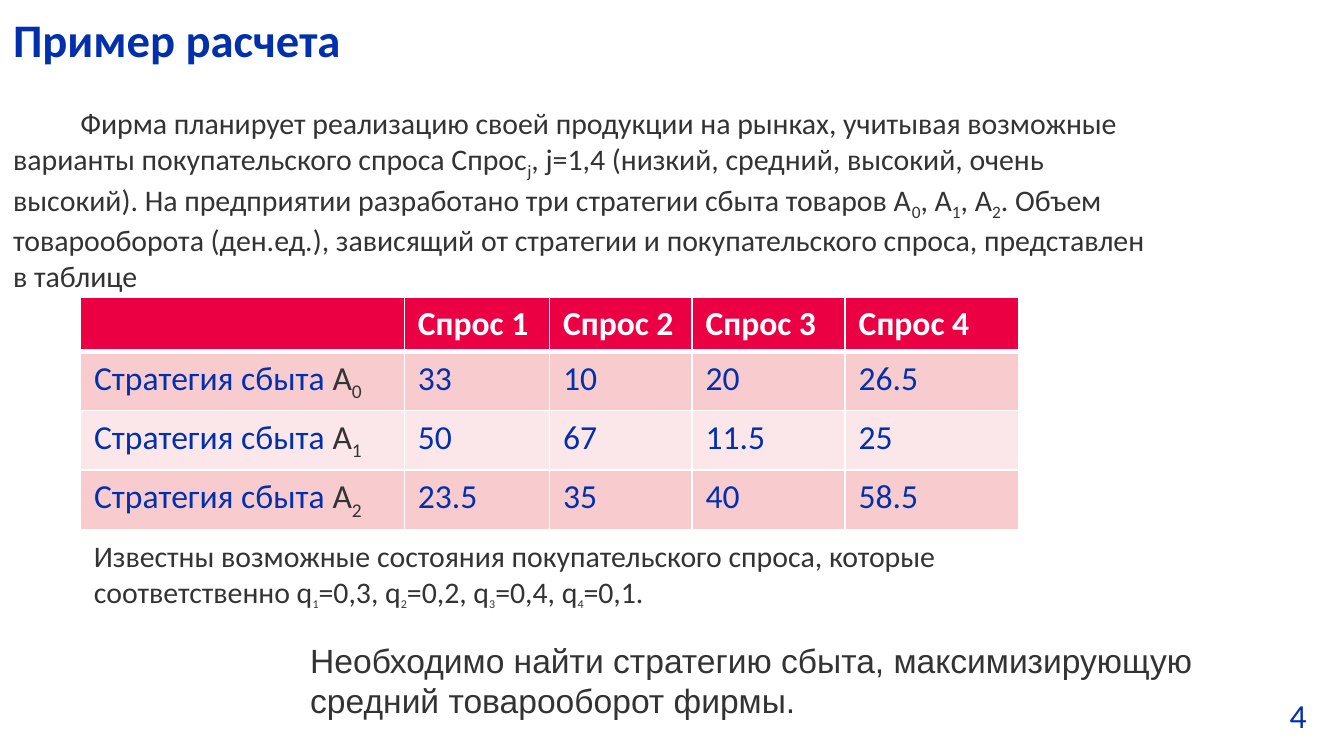
from lxml import etree
from pptx import Presentation
from pptx.dml.color import RGBColor
from pptx.enum.text import MSO_ANCHOR, PP_ALIGN
from pptx.oxml.ns import qn
from pptx.util import Inches, Pt

LEFT, RIGHT = PP_ALIGN.LEFT, PP_ALIGN.RIGHT
TOP, BOTTOM = MSO_ANCHOR.TOP, MSO_ANCHOR.BOTTOM
BLUE = RGBColor(0x02, 0x30, 0xAC)
GREY = RGBColor(0x33, 0x33, 0x33)
WHITE = RGBColor(0xFF, 0xFF, 0xFF)
RED = RGBColor(0xEC, 0x00, 0x44)
PINK = RGBColor(0xF8, 0xCC, 0xCF)
PALE = RGBColor(0xFB, 0xE7, 0xE9)


class SlideBuilder:
    font = "Calibri"

    def __init__(self, prs):
        self.s = prs.slides.add_slide(prs.slide_layouts[6])

    def run(self, p, text, size, color, bold=False, font=None, sub=False):
        r = p.add_run()
        r.text = text
        style = {"name": font or self.font, "size": Pt(size), "bold": bold}
        for key, value in style.items():
            setattr(r.font, key, value)
        r.font.color.rgb = color
        if sub:
            r.font._element.set("baseline", "-25000")

    def rich(self, p, text, size, color, sub_size=None, **style):
        for i, part in enumerate(text.split("_")):
            sub = i % 2 == 1
            if part:
                self.run(p, part, sub_size if sub and sub_size else size,
                         color, sub=sub, **style)

    def text(self, box, text, size, color, align=LEFT, anchor=TOP, indent=0, **style):
        tf = self.s.shapes.add_textbox(*map(Inches, box)).text_frame
        for key, value in {"word_wrap": True, "vertical_anchor": anchor}.items():
            setattr(tf, key, value)
        p = tf.paragraphs[0]
        p.alignment = align
        if indent:
            p._p.get_or_add_pPr().set("indent", str(Inches(indent)))
        self.rich(p, text, size, color, **style)

    def borders(self, cell, bottom):
        tc_pr = cell._tc.get_or_add_tcPr()
        widths = {"lnL": 1, "lnR": 1, "lnT": 1, "lnB": bottom}
        for i, (tag, width) in enumerate(widths.items()):
            ln = etree.Element(qn("a:" + tag), w=str(Pt(width)))
            fill = etree.SubElement(ln, qn("a:solidFill"))
            etree.SubElement(fill, qn("a:srgbClr"), val=str(WHITE))
            tc_pr.insert(i, ln)

    def table(self, box, widths, rows, size):
        frame = self.s.shapes.add_table(len(rows), len(widths), *map(Inches, box))
        table = frame.table
        for column, width in zip(table.columns, widths):
            column.width = Inches(width)
        for i, row in enumerate(rows):
            header = i == 0
            for j, value in enumerate(row):
                cell = table.cell(i, j)
                cell.fill.solid()
                cell.fill.fore_color.rgb = RED if header else (PALE, PINK)[i % 2]
                self.borders(cell, 3 if header else 1)
                p = cell.text_frame.paragraphs[0]
                if header or j:
                    self.rich(p, value, size, WHITE if header else BLUE, bold=header)
                else:
                    self.run(p, "Стратегия сбыта ", size, BLUE)
                    self.rich(p, value, size, GREY)


prs = Presentation()
prs.slide_width, prs.slide_height = Inches(10), Inches(10 * 9 / 16)
slide = SlideBuilder(prs)

slide.text((9.17, 5.12, 0.65, 0.4), "4", 18, BLUE, align=RIGHT)
slide.text((0, 0.07, 9.56, 0.48), "Пример расчета", 25, BLUE, anchor=BOTTOM, bold=True)
slide.table(
    (0.6, 2.21, 6.98, 1.62),
    (2.41, 1.08, 1.06, 1.14, 1.29),
    [
        ["", "Спрос 1", "Спрос 2", "Спрос 3", "Спрос 4"],
        ["A_0_", "33", "10", "20", "26.5"],
        ["A_1_", "50", "67", "11.5", "25"],
        ["A_2_", "23.5", "35", "40", "58.5"],
    ],
    18,
)
slide.text(
    (0, 0.73, 8.67, 1.45),
    "Фирма планирует реализацию своей продукции на рынках, учитывая возможные "
    "варианты покупательского спроса Спрос_j_, j=1,4 (низкий, средний, высокий, "
    "очень высокий). На предприятии разработано три стратегии сбыта товаров "
    "A_0_, А_1_, А_2_. Объем товарооборота (ден.ед.), зависящий от стратегии и "
    "покупательского спроса, представлен в таблице",
    16, GREY, indent=0.5,
)
slide.text(
    (0.6, 3.95, 6.98, 0.64),
    "Известны возможные состояния покупательского спроса, которые "
    "соответственно q_1_=0,3, q_2_=0,2, q_3_=0,4, q_4_=0,1.",
    16, GREY, sub_size=11,
)
slide.text(
    (2.21, 4.71, 7.35, 0.71),
    "Необходимо найти стратегию сбыта, максимизирующую средний товарооборот фирмы.",
    18, GREY, font="Arial",
)

prs.save("out.pptx")
